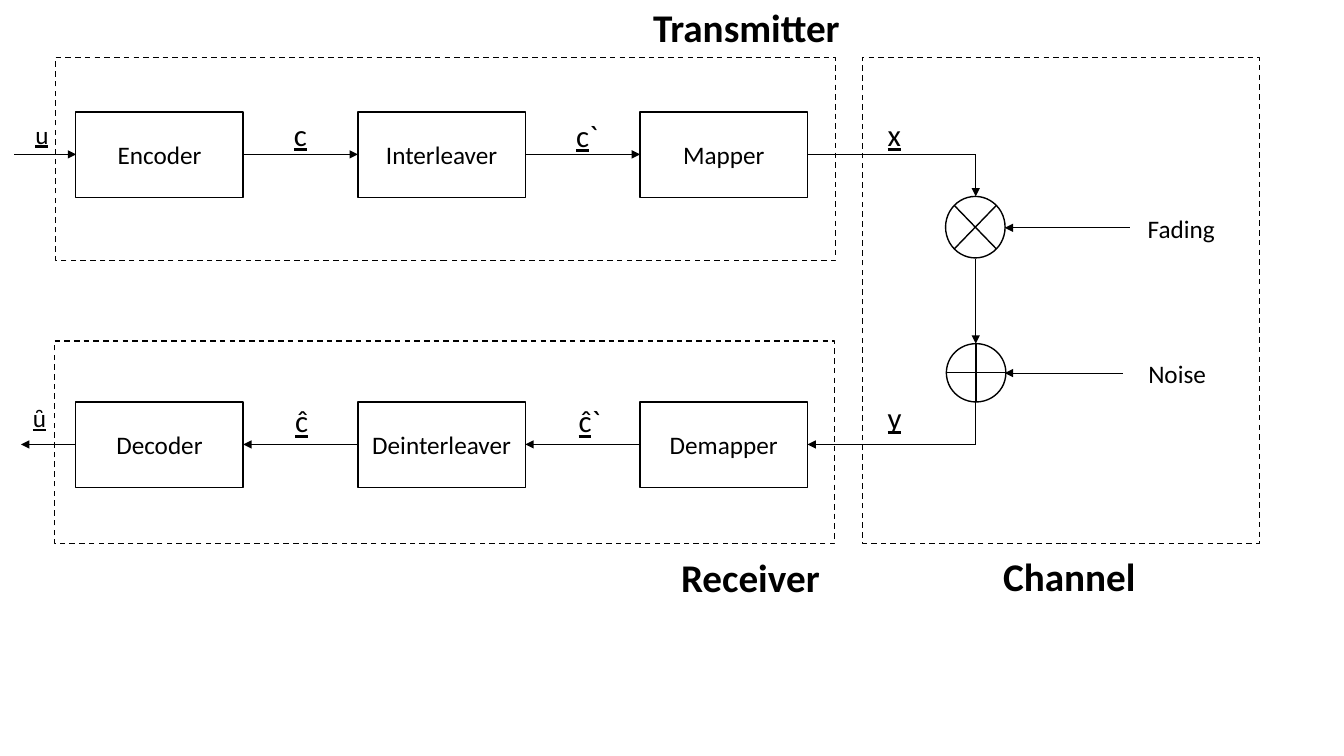
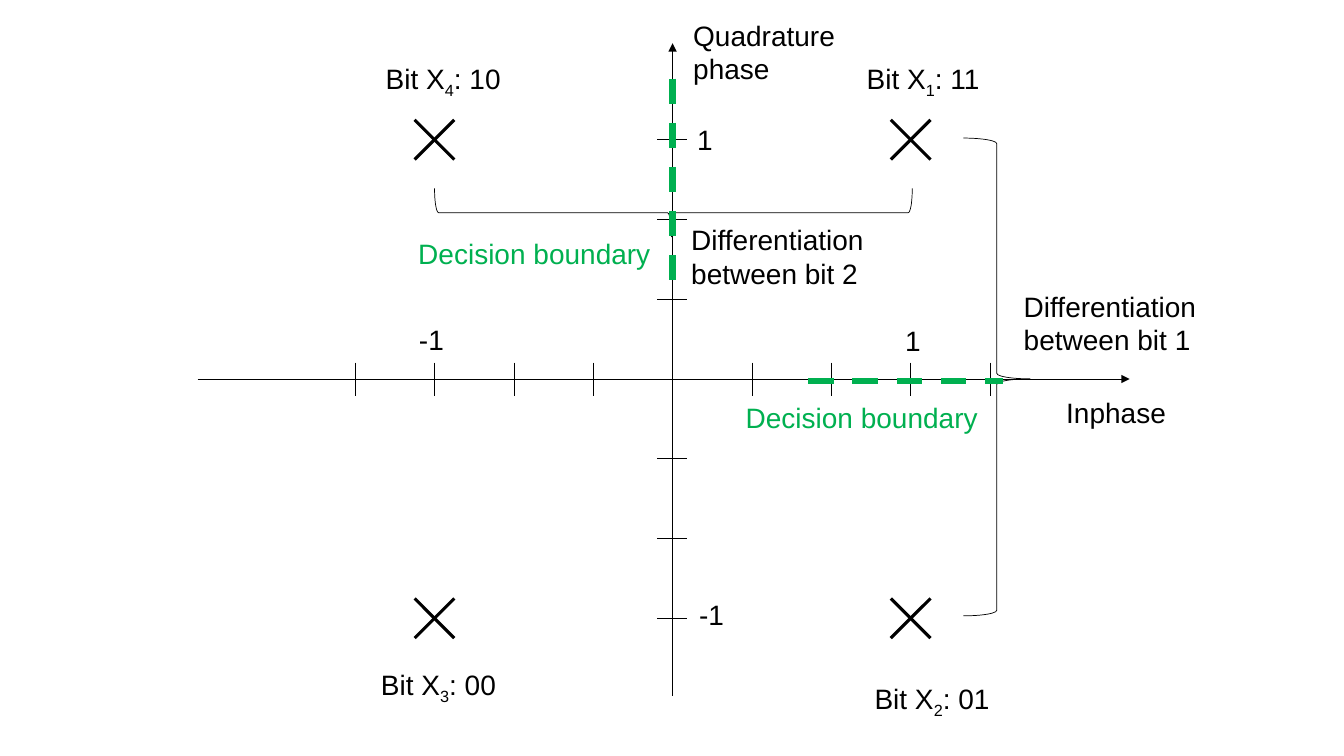
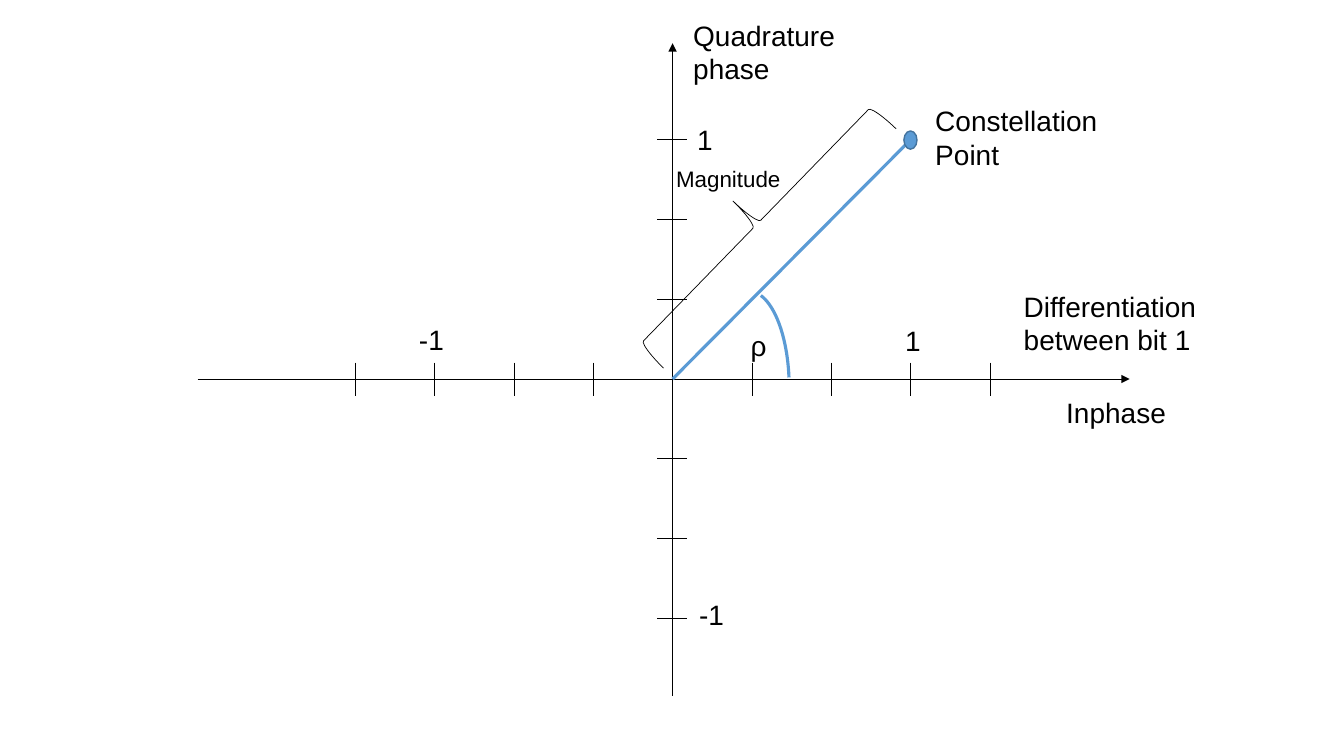
from lxml import etree
from pptx import Presentation
from pptx.dml.color import RGBColor
from pptx.enum import dml, shapes, text
from pptx.oxml import ns
from pptx import util as u

BLACK, WHITE, GREEN = "000000", "FFFFFF", "00B050"
BLUE, DARK_BLUE = "5B9BD5", "43739E"
LINE = shapes.MSO_CONNECTOR.STRAIGHT
KIND = shapes.MSO_SHAPE


def draw(sl, kind, x, y, w, h, line=BLACK, weight=0.5, fill=None, dash=False, arrow=False):
    """Draw a preset shape, or a line that runs from (x, y) by (w, h), in cm."""
    if kind is LINE:
        sp = sl.shapes.add_connector(kind, *map(u.Cm, (x, y, x + w, y + h)))
        etree.SubElement(sp._element.spPr, ns.qn("a:effectLst"))
    else:
        sp = sl.shapes.add_shape(kind, *map(u.Cm, (x, y, w, h)))
        sp.shadow.inherit = False
        if fill:
            sp.fill.solid()
            sp.fill.fore_color.rgb = RGBColor.from_string(fill)
        else:
            sp.fill.background()
    sp.line.color.rgb = RGBColor.from_string(line)
    sp.line.width = u.Pt(weight)
    if dash:
        sp.line.dash_style = dml.MSO_LINE.DASH
    if arrow:
        etree.SubElement(sp.line._get_or_add_ln(), ns.qn("a:tailEnd"), type="triangle")
    return sp


def write(sp, *runs, size=20, font="Arial", color=BLACK, bold=False,
          underline=False, subscript=False, centred=False):
    """Fill a shape with runs; underline marks the first, subscript the second."""
    tf = sp.text_frame
    tf.word_wrap = True
    tf.vertical_anchor = text.MSO_ANCHOR.MIDDLE if centred else text.MSO_ANCHOR.TOP
    p = tf.paragraphs[0]
    p.alignment = text.PP_ALIGN.CENTER if centred else text.PP_ALIGN.LEFT
    for i, part in enumerate(runs):
        r = p.add_run()
        r.text = part
        r.font.size = u.Pt(size)
        r.font.name = font
        r.font.bold = bold
        r.font.underline = underline and i == 0
        r.font.color.rgb = RGBColor.from_string(color)
        if subscript and i == 1:
            r._r.get_or_add_rPr().set("baseline", "-25000")


prs = Presentation()
prs.slide_width, prs.slide_height = u.Cm(33.87), u.Cm(19.05)
blank = prs.slide_layouts[6]

# Transmission chain
sl = prs.slides.add_slide(blank)
for frame in [(21.74, 1.45, 10.01, 12.24), (1.37, 8.59, 19.66, 5.11), (1.4, 1.45, 19.66, 5.11)]:
    draw(sl, KIND.RECTANGLE, *frame, weight=1, fill=WHITE, dash=True)

block_x, block_w, block_h, pitch = 1.91, 4.22, 2.16, 7.11
chains = [(2.82, ["Encoder", "Interleaver", "Mapper"]),
          (10.13, ["Decoder", "Deinterleaver", "Demapper"])]
for y, names in chains:
    for i, name in enumerate(names):
        sp = draw(sl, KIND.RECTANGLE, block_x + i * pitch, y, block_w, block_h,
                  weight=1, fill=WHITE)
        write(sp, name, size=18, font="Calibri", centred=True)

draw(sl, KIND.FLOWCHART_SUMMING_JUNCTION, 23.83, 4.95, 1.5, 1.55, weight=1, fill=WHITE)
draw(sl, KIND.FLOWCHART_OR, 23.85, 8.66, 1.5, 1.47, weight=1, fill=WHITE)

send_y, receive_y, channel_x, gap = 3.89, 11.2, 24.59, pitch - block_w
for i in range(2):
    left = block_x + block_w + i * pitch
    draw(sl, LINE, left, send_y, gap, 0, arrow=True)
    draw(sl, LINE, left + gap, receive_y, -gap, 0, arrow=True)
for x, y, w, h, arrow in [
        (0.36, send_y, 1.56, 0, True),
        (20.35, send_y, 4.24, 0, False),
        (channel_x, send_y, 0, 1.06, True),
        (channel_x, 6.53, 0, 2.13, True),
        (channel_x, receive_y, 0, -1.07, False),
        (channel_x, receive_y, -4.24, 0, True),
        (block_x, receive_y, -1.38, 0, True),
        (28.5, 5.74, -3.18, 0, True),
        (28.32, 9.4, -3, 0, True)]:
    draw(sl, LINE, x, y, w, h, arrow=arrow)

for x, y, w, size, signal in [
        (0.64, 2.87, 0.79, 18, "u"), (7.16, 2.79, 0.79, 22, "c"),
        (14.27, 2.82, 1.3, 22, "c`"), (22.12, 2.79, 0.79, 22, "x"),
        (22.12, 9.93, 0.79, 22, "y"), (14.33, 10.01, 1.3, 22, "ĉ`"),
        (7.19, 10.01, 0.79, 22, "ĉ"), (0.58, 10.01, 0.79, 18, "ȗ")]:
    sp = sl.shapes.add_textbox(*map(u.Cm, (x, y, w, 1.19 if size == 22 else 1.02)))
    write(sp, *signal, size=size, font="Calibri", underline=True)

for x, y, w, h, size, label in [
        (28.5, 4.93, 2.54, 1.63, 18, "Fading"), (28.32, 8.59, 2.69, 1.63, 18, "Noise"),
        (16.13, 0.28, 5.36, 0.81, 28, "Transmitter"),
        (16.74, 14.12, 4.34, 0.81, 28, "Receiver"),
        (24.92, 14.1, 4.06, 0.81, 28, "Channel")]:
    sp = draw(sl, KIND.RECTANGLE, x, y, w, h, line=WHITE, weight=1, fill=WHITE)
    write(sp, label, size=size, font="Calibri", bold=size == 28, centred=True)

# Axes shared by the two constellation diagrams
origin_x, origin_y, step_x, step_y = 16.95, 9.55, 2, 2.01
axis_labels = [
    (26.62, 9.83, 3.71, 1.12, "Inphase"), (17.22, 0.33, 4.37, 1.96, "Quadrature phase"),
    (25.55, 7.16, 6.83, 1.96, "Differentiation between bit 1"),
    (22.56, 8.03, 0.89, 1.12, "1"), (17.32, 2.97, 0.89, 1.12, "1"),
    (17.37, 14.94, 1.24, 1.12, "-1"), (10.31, 8, 1.24, 1.12, "-1")]
bits, polar = prs.slides.add_slide(blank), prs.slides.add_slide(blank)
for sl in (bits, polar):
    draw(sl, LINE, 4.98, origin_y, 23.49, 0, arrow=True)
    draw(sl, LINE, origin_x, 17.53, 0, -16.44, arrow=True)
    for k in (-4, -3, -2, -1, 1, 2, 3, 4):
        draw(sl, LINE, origin_x + k * step_x, 9.14, 0, 0.84)
        if abs(k) < 4:
            draw(sl, LINE, 16.56, origin_y + k * step_y, 0.76, 0)
    for *box, label in axis_labels:
        write(sl.shapes.add_textbox(*map(u.Cm, box)), label)

# Bits and decision boundaries
for x in (origin_x - 3 * step_x, origin_x + 3 * step_x):
    for y in (origin_y - 3 * step_y, origin_y + 3 * step_y):
        for rise in (-1, 1):
            draw(bits, LINE, x + 0.5, y - rise / 2, -1, rise, weight=2.25)

for x, y, index, value in [(21.59, 1.42, "1", "11"), (21.79, 17.04, "2", "01"),
                           (9.35, 16.69, "3", "00"), (9.47, 1.42, "4", "10")]:
    sp = bits.shapes.add_textbox(*map(u.Cm, (x, y, 3.71, 1.12)))
    write(sp, "Bit X", index, ": " + value, subscript=True)

for sl, box, turn in [(bits, (24.28, 3.48, 1.68, 12.04), 0),
                      (bits, (16.36, -0.66, 1.22, 12.04), 90),
                      (polar, (18.21, 1.47, 1.68, 8.41), 224.2)]:
    brace = draw(sl, KIND.RIGHT_BRACE, *box)
    brace.rotation = turn
    brace.adjustments[0], brace.adjustments[1] = 0.083, 0.504

write(bits.shapes.add_textbox(*map(u.Cm, (17.17, 5.49, 5.54, 1.96))),
      "Differentiation between bit 2")
for x, y in [(10.29, 5.84), (18.54, 9.98)]:
    write(bits.shapes.add_textbox(*map(u.Cm, (x, y, 6.43, 1.12))),
          "Decision boundary", color=GREEN)
draw(bits, LINE, 20.37, 9.6, 4.9, 0, line=GREEN, weight=4.5, dash=True)
draw(bits, LINE, origin_x, 1.98, 0, 5.31, line=GREEN, weight=4.5, dash=True)

# Magnitude and angle
draw(polar, LINE, origin_x, origin_y, 3 * step_x, -3 * step_y, line=BLUE, weight=2.25)
draw(polar, KIND.OVAL, 22.78, 3.3, 0.33, 0.46, line=DARK_BLUE, weight=1, fill=BLUE)
angle = draw(polar, KIND.ARC, 17.86, 7.34, 2.03, 4.83, line=BLUE, weight=2.25)
angle.adjustments[0], angle.adjustments[1] = 166.46, 207.89
for *box, size, label in [(23.32, 2.49, 5.16, 1.96, 20, "Constellation Point"),
                          (18.67, 8.15, 1.02, 1.12, 20, "ρ"),
                          (16.79, 4.04, 4.17, 0.94, 16, "Magnitude")]:
    write(polar.shapes.add_textbox(*map(u.Cm, box)), label, size=size)

prs.save("out.pptx")
